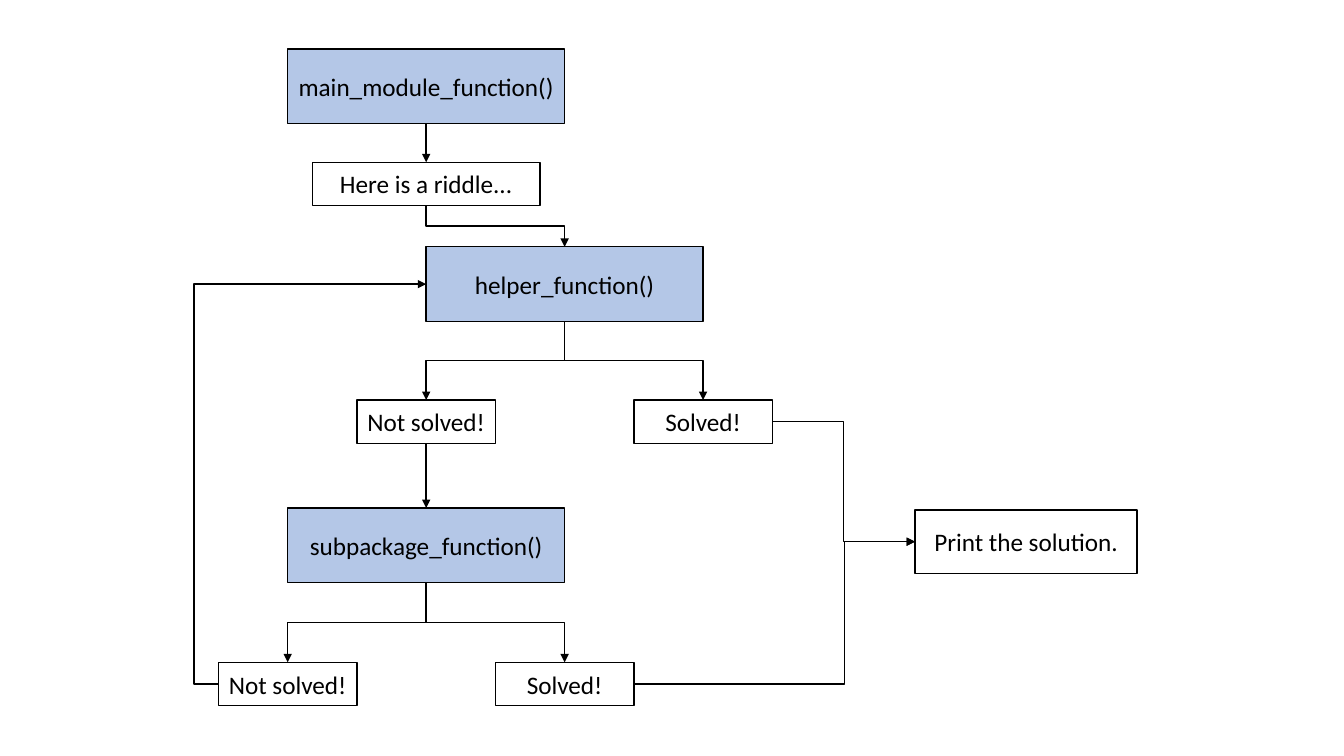
from lxml import etree
from pptx import Presentation
from pptx.dml.color import RGBColor
from pptx.enum.shapes import MSO_CONNECTOR, MSO_SHAPE
from pptx.enum.text import MSO_ANCHOR, PP_ALIGN
from pptx.oxml.ns import qn
from pptx.util import Cm, Pt

RECTANGLE = MSO_SHAPE.RECTANGLE
STRAIGHT, ELBOW = MSO_CONNECTOR.STRAIGHT, MSO_CONNECTOR.ELBOW
MIDDLE, CENTER = MSO_ANCHOR.MIDDLE, PP_ALIGN.CENTER
TOP, LEFT, BOTTOM, RIGHT = range(4)
BLACK, BLUE = "000000", "B4C7E7"


def color(hex_code):
    return RGBColor.from_string(hex_code)


presentation = Presentation()
presentation.slide_width = Cm(33.87)
presentation.slide_height = Cm(19.05)
slide = presentation.slides.add_slide(presentation.slide_layouts[6])

columns = [7.25 + 3.49 * i for i in range(4)]
function_size = (6.98, 1.88)
answer_size = (3.49, 1.09)

steps = [
    ("main", "main_module_function()", columns[1], 1.24, function_size, BLUE),
    ("riddle", "Here is a riddle...", columns[1], 4.09, (5.74, 1.09), None),
    ("helper", "helper_function()", columns[2], 6.22, function_size, BLUE),
    ("helper_no", "Not solved!", columns[1], 10.08, answer_size, None),
    ("helper_yes", "Solved!", columns[3], 10.08, answer_size, None),
    ("subpackage", "subpackage_function()", columns[1], 12.8, function_size, BLUE),
    ("subpackage_no", "Not solved!", columns[0], 16.69, answer_size, None),
    ("subpackage_yes", "Solved!", columns[2], 16.69, answer_size, None),
    ("solution", "Print the solution.", 25.86, 12.85, (5.6, 1.6), None),
]

boxes = {}
for step, wording, center, top, (width, height), fill in steps:
    box = slide.shapes.add_shape(
        RECTANGLE, Cm(center - width / 2), Cm(top), Cm(width), Cm(height))
    box.shadow.inherit = False
    if fill:
        box.fill.solid()
        box.fill.fore_color.rgb = color(fill)
    else:
        box.fill.background()
    box.line.color.rgb = color(BLACK)
    box.line.width = Pt(1)
    frame = box.text_frame
    frame.word_wrap = False
    frame.vertical_anchor = MIDDLE
    paragraph = frame.paragraphs[0]
    paragraph.alignment = CENTER
    run = paragraph.add_run()
    run.text = wording
    run.font.name = "Calibri"
    run.font.size = Pt(18)
    run.font.color.rgb = color(BLACK)
    boxes[step] = box

flows = [
    ("main", BOTTOM, "riddle", TOP, STRAIGHT, None),
    ("riddle", BOTTOM, "helper", TOP, ELBOW, None),
    ("helper", BOTTOM, "helper_no", TOP, ELBOW, None),
    ("helper", BOTTOM, "helper_yes", TOP, ELBOW, None),
    ("helper_no", BOTTOM, "subpackage", TOP, STRAIGHT, None),
    ("subpackage", BOTTOM, "subpackage_no", TOP, ELBOW, None),
    ("subpackage", BOTTOM, "subpackage_yes", TOP, ELBOW, None),
    ("subpackage_no", LEFT, "helper", LEFT, ELBOW, -11700),
    ("helper_yes", RIGHT, "solution", LEFT, ELBOW, None),
    ("subpackage_yes", RIGHT, "solution", LEFT, ELBOW, 74900),
]

for source, exit_side, target, entry_side, kind, bend in flows:
    arrow = slide.shapes.add_connector(kind, 0, 0, 0, 0)
    arrow.begin_connect(boxes[source], exit_side)
    arrow.end_connect(boxes[target], entry_side)
    arrow.line.color.rgb = color(BLACK)
    arrow.line.width = Pt(1)
    properties = arrow._element.spPr
    line = properties.find(qn("a:ln"))
    etree.SubElement(line, qn("a:tailEnd"), type="triangle")
    etree.SubElement(properties, qn("a:effectLst"))

    if kind == ELBOW and exit_side == BOTTOM:
        goes_right = arrow.end_x > arrow.begin_x
        across, down = arrow.width, arrow.height
        arrow.left += (across - down) // 2
        arrow.top += (down - across) // 2
        arrow.width, arrow.height = down, across
        transform = properties.find(qn("a:xfrm"))
        transform.set("rot", "16200000" if goes_right else "5400000")
        transform.set("flipH", "1" if goes_right else "0")

    if bend is not None:
        geometry = properties.find(qn("a:prstGeom"))
        adjustments = geometry.find(qn("a:avLst"))
        etree.SubElement(adjustments, qn("a:gd"), name="adj1", fmla=f"val {bend}")

presentation.save("out.pptx")
